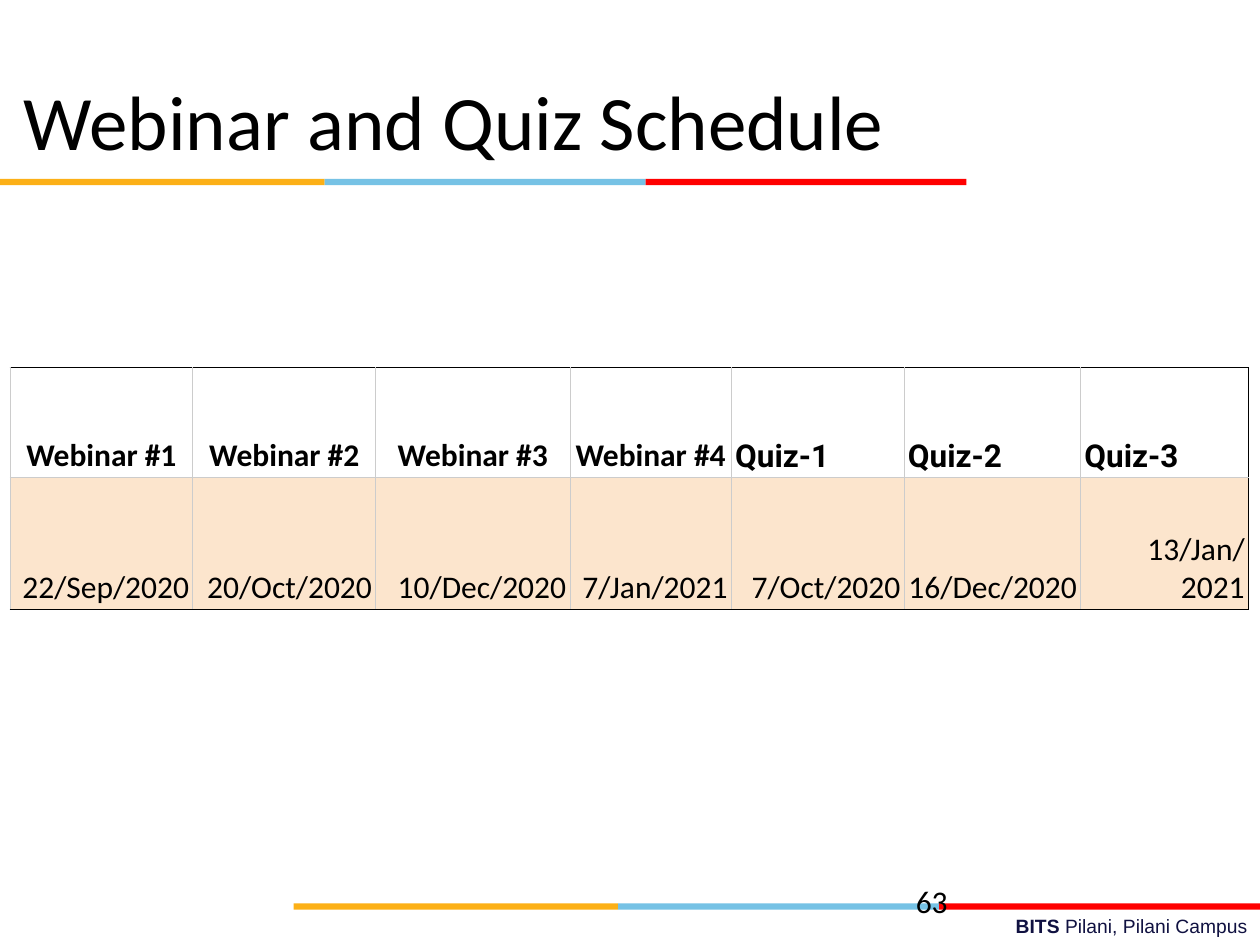
import pptx
import pptx.dml.color
import pptx.enum.shapes
import pptx.enum.text
import pptx.oxml
import pptx.oxml.ns
import pptx.util

ALIGN = pptx.enum.text.PP_ALIGN
ANCHOR = pptx.enum.text.MSO_ANCHOR
UNIT = pptx.util.Inches(0.1)
COLUMNS, ROWS = 100, 75

STRIPES = (("FCB017", 2.58), ("76C2E5", 2.55), ("FF0000", 2.55))
BORDER_SIDES = ("L", "R", "T", "B")
BORDER_WIDTH = pptx.util.Pt(0.6)
COLUMN_WEIGHTS = (1.45, 1.45, 1.54, 1.28, 1.37, 1.4, 1.33)
ROW_WEIGHTS = (0.87, 1.05)
HEADINGS = ("Webinar #1", "Webinar #2", "Webinar #3", "Webinar #4",
            "Quiz-1", "Quiz-2", "Quiz-3")
DATES = ("22/Sep/2020", "20/Oct/2020", "10/Dec/2020", "7/Jan/2021",
         "7/Oct/2020", "16/Dec/2020", "13/Jan/2021")


def color(value):
    return pptx.dml.color.RGBColor.from_string(value)


def grid(*cells):
    return [round(cell * UNIT) for cell in cells]


def split(total, weights):
    return [round(total * weight / sum(weights)) for weight in weights]


def apply(target, values):
    for name, value in values.items():
        setattr(target, name, value)


def add_run(paragraph, text, size, name="Calibri", fill="000000", bold=False):
    run = paragraph.add_run()
    run.text = text
    apply(run.font, {"size": pptx.util.Pt(size), "name": name, "bold": bold})
    run.font.color.rgb = color(fill)


def add_text(slide, box, runs, alignment=ALIGN.LEFT, top=0.5):
    frame = slide.shapes.add_textbox(*grid(*box)).text_frame
    side, above, below = grid(1, top, 0.5)
    apply(frame, {"word_wrap": True, "vertical_anchor": ANCHOR.TOP,
                  "margin_left": side, "margin_right": side,
                  "margin_top": above, "margin_bottom": below})
    paragraph = frame.paragraphs[0]
    paragraph.alignment = alignment
    for text, style in runs:
        add_run(paragraph, text, **style)


def add_stripes(slide, box):
    left, top, width, height = grid(*box)
    widths = split(width, [weight for _, weight in STRIPES])
    for (fill, _), stripe_width in zip(STRIPES, widths):
        stripe = slide.shapes.add_shape(
            pptx.enum.shapes.MSO_SHAPE.RECTANGLE, left, top, stripe_width, height)
        stripe.shadow.inherit = False
        stripe.fill.solid()
        stripe.fill.fore_color.rgb = color(fill)
        stripe.line.fill.background()
        left += stripe_width


def set_borders(cell, colors):
    properties = cell._tc.get_or_add_tcPr()
    for index, side in enumerate(BORDER_SIDES):
        properties.insert(index, pptx.oxml.parse_xml(
            f'<a:ln{side} {pptx.oxml.ns.nsdecls("a")} w="{BORDER_WIDTH}">'
            f'<a:solidFill><a:srgbClr val="{colors[side]}"/></a:solidFill>'
            f'</a:ln{side}>'))


def fill_cell(cell, text, fill, alignment, **style):
    side, edge = grid(0.3, 0.2)
    apply(cell, {"vertical_anchor": ANCHOR.BOTTOM,
                 "margin_left": side, "margin_right": side,
                 "margin_top": edge, "margin_bottom": edge})
    cell.fill.solid()
    cell.fill.fore_color.rgb = color(fill)
    paragraph = cell.text_frame.paragraphs[0]
    paragraph.alignment = alignment
    add_run(paragraph, text, 18, **style)


def add_schedule(slide, box):
    left, top, width, height = grid(*box)
    table = slide.shapes.add_table(
        len(ROW_WEIGHTS), len(HEADINGS), left, top, width, height).table
    apply(table, {"first_row": False, "horz_banding": False})
    for column, column_width in zip(table.columns, split(width, COLUMN_WEIGHTS)):
        column.width = column_width
    for row, row_height in zip(table.rows, split(height, ROW_WEIGHTS)):
        row.height = row_height
    for index, (heading, date) in enumerate(zip(HEADINGS, DATES)):
        quiz = heading.startswith("Quiz")
        header, body = table.cell(0, index), table.cell(1, index)
        fill_cell(header, heading, "FFFFFF", ALIGN.LEFT if quiz else ALIGN.CENTER,
                  name="Roboto" if quiz else "Calibri", bold=True)
        fill_cell(body, date, "FCE5CD", ALIGN.RIGHT)
        inner = dict.fromkeys(BORDER_SIDES, "CCCCCC")
        if index == len(HEADINGS) - 1:
            inner["R"] = "000000"
        set_borders(header, {**inner, "T": "000000"})
        set_borders(body, {**inner, "B": "000000"})


def add_header(slide, box):
    left, top, width, height = box
    add_stripes(slide, (left, top + 9.2, 76.7, 0.5))
    add_text(slide, (left + 0.9, top, width - 10, height),
             [("Webinar and Quiz Schedule", {"size": 44})], top=0.8)


def add_footer(slide, box):
    left, top, width, height = box
    campus = {"size": 11, "name": "Arial", "fill": "101141"}
    add_text(slide, (left + 35.8, top + 2.6, width - 35.8, height - 2.6),
             [("BITS ", {**campus, "bold": True}),
              ("Pilani, Pilani Campus", campus)], ALIGN.RIGHT)
    add_stripes(slide, (left + 23.3, top + 2.2, width - 23.3, 0.5))
    add_text(slide, (left + 71.7, top, 23.3, 4), [("63", {"size": 18})])


def main():
    presentation = pptx.Presentation()
    apply(presentation, {"slide_width": COLUMNS * UNIT, "slide_height": ROWS * UNIT})
    slide = presentation.slides.add_slide(presentation.slide_layouts[6])
    add_header(slide, (0, 5, COLUMNS, 12.5))
    add_footer(slide, (0, 69.5, COLUMNS, 5.5))
    add_schedule(slide, (0.8, 29.2, 98.3, 19.2))
    presentation.save("out.pptx")


if __name__ == "__main__":
    main()
